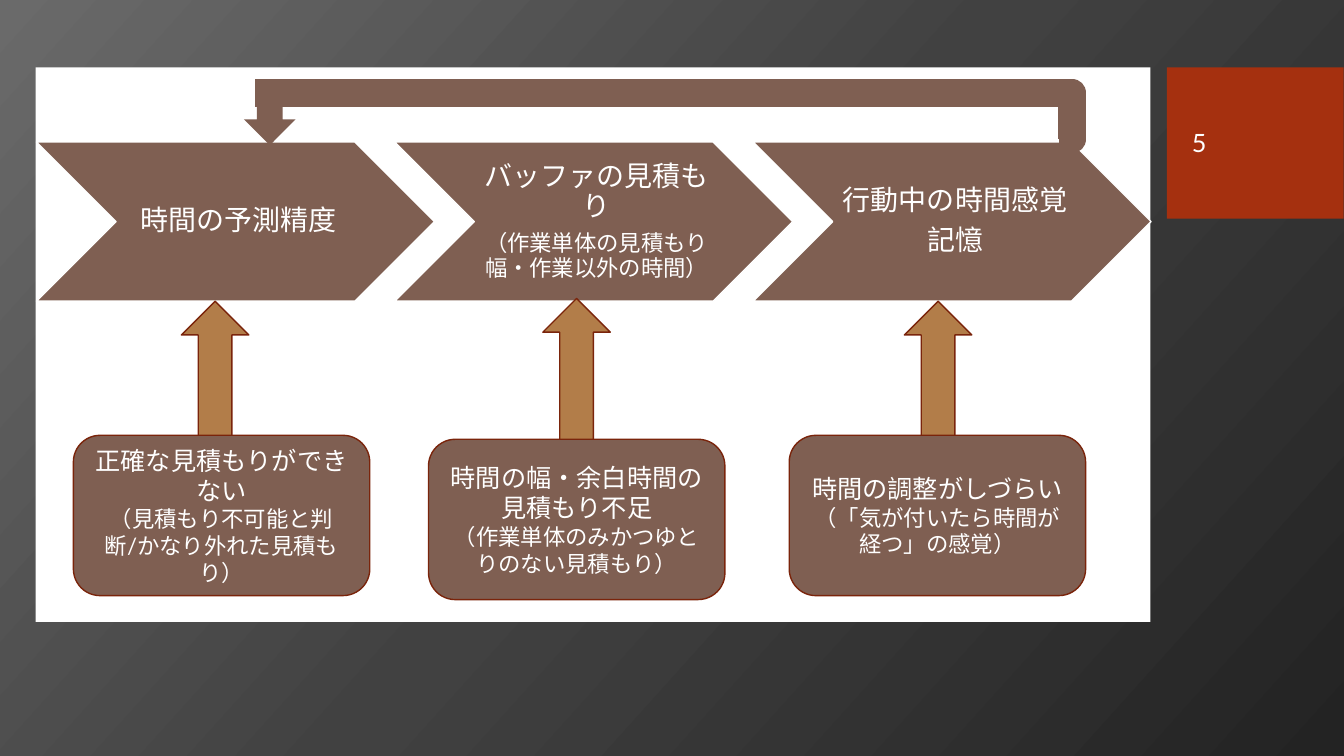
import copy
from dataclasses import dataclass

import lxml.etree
import pptx
import pptx.dml.color
import pptx.enum.shapes
import pptx.enum.text
import pptx.oxml
import pptx.oxml.ns
import pptx.util

Cm = pptx.util.Cm
Pt = pptx.util.Pt
Kind = pptx.enum.shapes.MSO_SHAPE
Align = pptx.enum.text.PP_ALIGN
qn = pptx.oxml.ns.qn


@dataclass(frozen=True)
class Theme:
    font: str = "Lato"
    white: str = "FFFFFF"
    brown: str = "7F5F52"
    tan: str = "B27D49"
    red: str = "A5300F"
    edge: str = "7A240B"
    back: tuple = ((0, "6A6A6A"), (0.5, "414141"), (1, "232323"))
    large: int = 20
    mid: int = 18
    small: int = 16


theme = Theme()

STAGES = [
    [("時間の予測精度", theme.large)],
    [("バッファの見積もり", theme.large),
     ("（作業単体の見積もり幅・作業以外の時間）", theme.small)],
    [("行動中の時間感覚", theme.large), ("記憶", theme.large)],
]

# Left, top and lines of each problem, then top and height of its arrow
ISSUES = [
    (0.95, 9.27, [("正確な見積もりができない", theme.mid),
                  ("（見積もり不可能と判断/かなり外れた見積もり）", theme.small)],
     5.89, 3.48),
    (9.9, 9.37, [("時間の幅・余白時間の", theme.mid),
                 ("見積もり不足", theme.mid),
                 ("（作業単体のみかつゆとりのない見積もり）", theme.small)],
     5.82, 3.68),
    (18.99, 9.27, [("時間の調整がしづらい", theme.mid),
                   ("（「気が付いたら時間が経つ」の感覚）", theme.small)],
     5.89, 3.48),
]


def rgb(code):
    return pptx.dml.color.RGBColor.from_string(code)


def write(shape, lines, align=Align.CENTER, space=None, after=None, inset=None):
    frame = shape.text_frame
    frame.word_wrap = True
    frame.vertical_anchor = pptx.enum.text.MSO_ANCHOR.MIDDLE
    if inset:
        (frame.margin_left, frame.margin_top,
         frame.margin_right, frame.margin_bottom) = map(Cm, inset)
    for i, (words, size) in enumerate(lines):
        para = frame.add_paragraph() if i else frame.paragraphs[0]
        para.alignment = align
        if space:
            para.line_spacing = space
        if after:
            para.space_after = Pt(after * size)
        run = para.add_run()
        run.text = words
        run.font.name = theme.font
        run.font.size = Pt(size)
        run.font.color.rgb = rgb(theme.white)


def draw(slide, kind, box, fill, line=None):
    shape = slide.shapes.add_shape(kind, *map(Cm, box))
    shape.shadow.inherit = False
    shape.fill.solid()
    shape.fill.fore_color.rgb = rgb(fill)
    if line:
        shape.line.color.rgb = rgb(line)
        shape.line.width = Pt(1)
    else:
        shape.line.fill.background()
    return shape


def label(slide, box, lines, **form):
    write(slide.shapes.add_textbox(*map(Cm, box)), lines, **form)


def paint(slide):
    fill = slide.background.fill
    fill.gradient()
    fill.gradient_angle = 318
    # The default gradient has two stops; the third is added here
    stops = next(slide.element.iter(qn("a:gsLst")))
    stops.append(copy.deepcopy(stops[-1]))
    for stop, (place, code) in zip(fill.gradient_stops, theme.back):
        stop.position = place
        stop.color.rgb = rgb(code)


def badge(slide, box):
    x, y, w, h = box
    draw(slide, Kind.RECTANGLE, box, theme.red)
    label(slide, (x + 0.38, y + 0.38, 3.2, h - 0.79), [("5", theme.mid)],
          align=Align.LEFT)


def stages(slide, box):
    x, y, w, h = box
    pitch = 9.03
    for i, lines in enumerate(STAGES):
        left = x + i * pitch
        draw(slide, Kind.CHEVRON, (left, y, w, h), theme.brown, theme.white)
        label(slide, (left + h / 2, y, w - h, h), lines,
              space=0.9, after=0.35, inset=(0.23, 0.08, 0.08, 0.08))


def issues(slide, box):
    x, y, w, h = box
    for i, (left, top, lines, tip, tall) in enumerate(ISSUES):
        arrow = draw(slide, Kind.DOWN_ARROW,
                     (x + 3.67 + i * 9.11, y + tip, 1.7, tall),
                     theme.tan, theme.edge)
        arrow.rotation = 180
        card = draw(slide, Kind.ROUNDED_RECTANGLE,
                    (x + left, y + top, 7.47, 4.04), theme.brown, theme.edge)
        write(card, lines)


def loop(slide, box):
    x, y, w, h = box
    link = slide.shapes.add_connector(
        pptx.enum.shapes.MSO_CONNECTOR.ELBOW,
        *map(Cm, (x, y, x + w, y + h)))
    link.line.color.rgb = rgb(theme.brown)
    link.line.width = Pt(20)
    # Put the bend just past the right end, and drop the shadow
    props = link.element.spPr
    bend = props.find(qn("a:prstGeom")).get_or_add_avLst()
    lxml.etree.SubElement(bend, qn("a:gd"), name="adj1", fmla="val 101600")
    lxml.etree.SubElement(props, qn("a:effectLst"))
    draw(slide, Kind.DOWN_ARROW, (x - 0.28, y + 0.02, 1.3, 1.3), theme.brown)


def panel(slide, box):
    x, y, w, h = box
    draw(slide, Kind.RECTANGLE, box, theme.white)
    stages(slide, (x + 0.02, y + 1.88, 10.03, 4.01))
    issues(slide, box)
    loop(slide, (x + 5.53, y + 0.64, 20.27, 1.17))


def main():
    deck = pptx.Presentation()
    deck.slide_width, deck.slide_height = Cm(33.87), Cm(19.05)
    slide = deck.slides.add_slide(deck.slide_layouts[6])
    paint(slide)
    badge(slide, (29.41, 1.7, 4.45, 3.81))
    panel(slide, (0.9, 1.7, 28.09, 13.97))
    deck.save("out.pptx")


if __name__ == "__main__":
    main()
